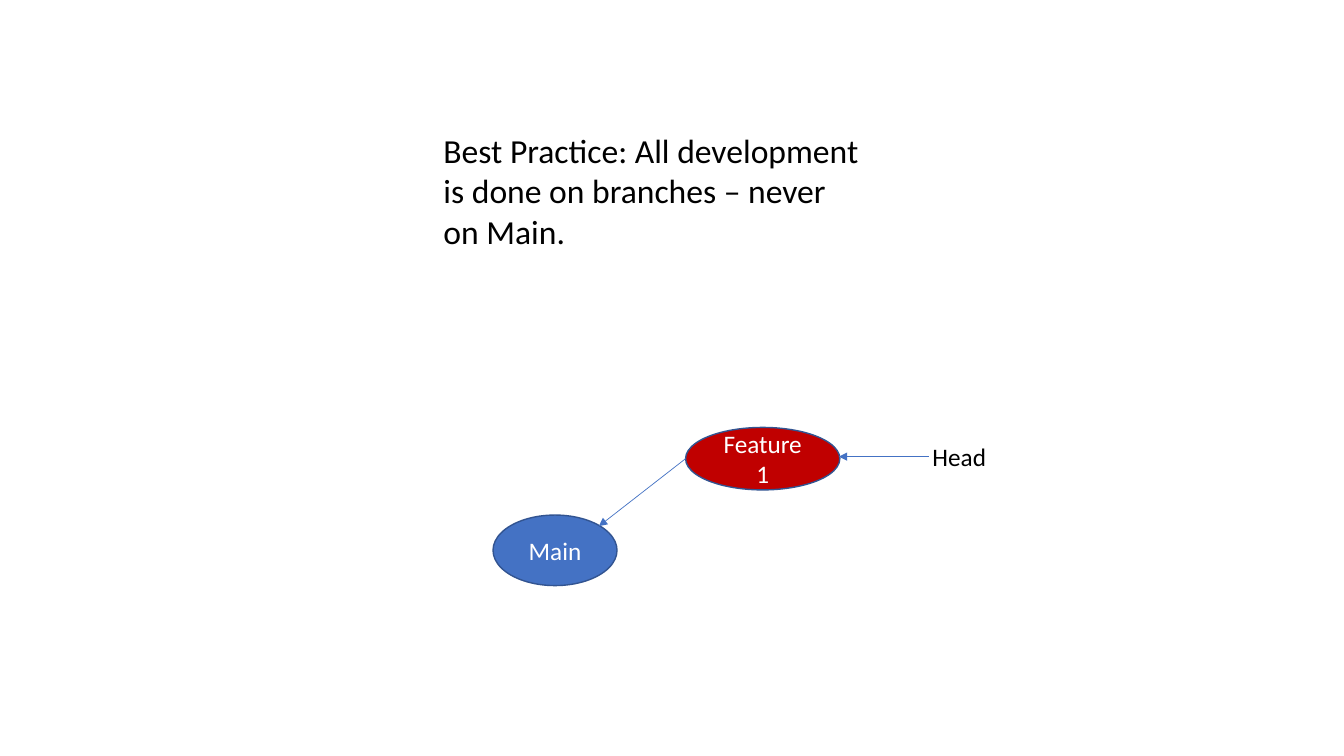
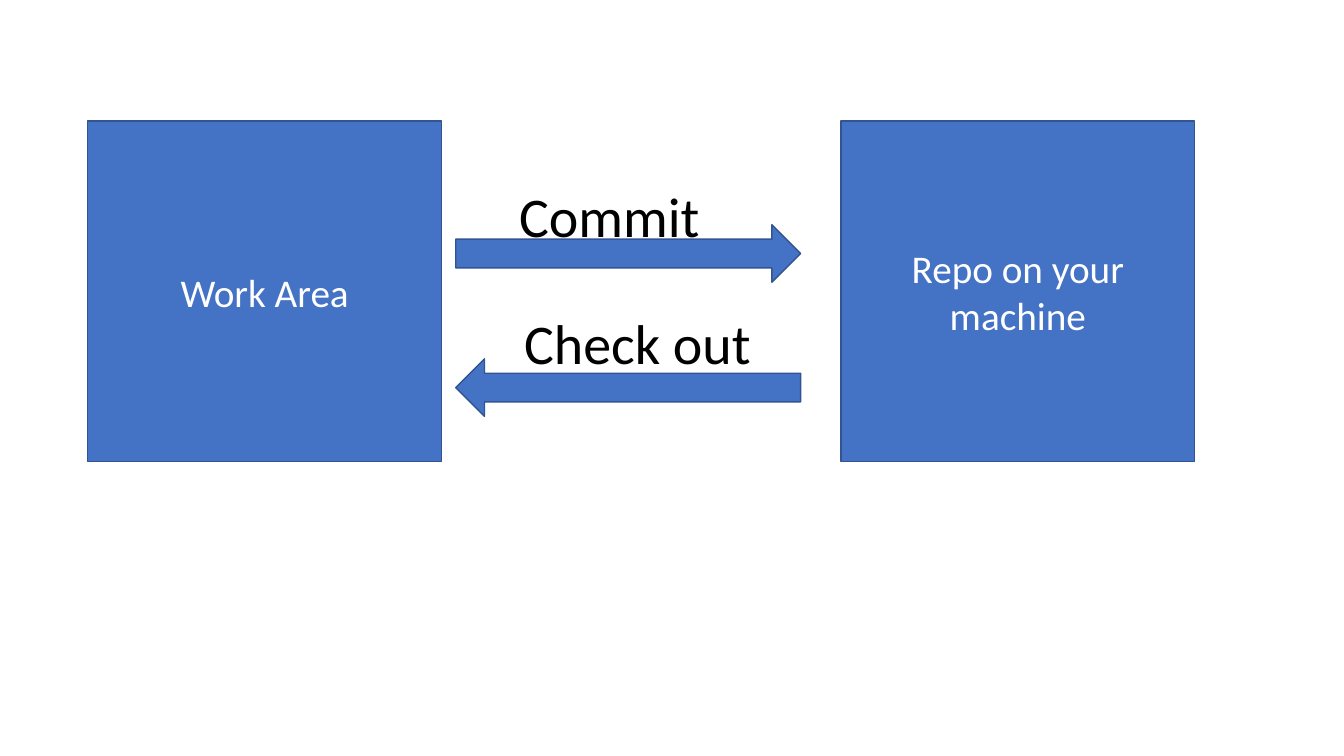
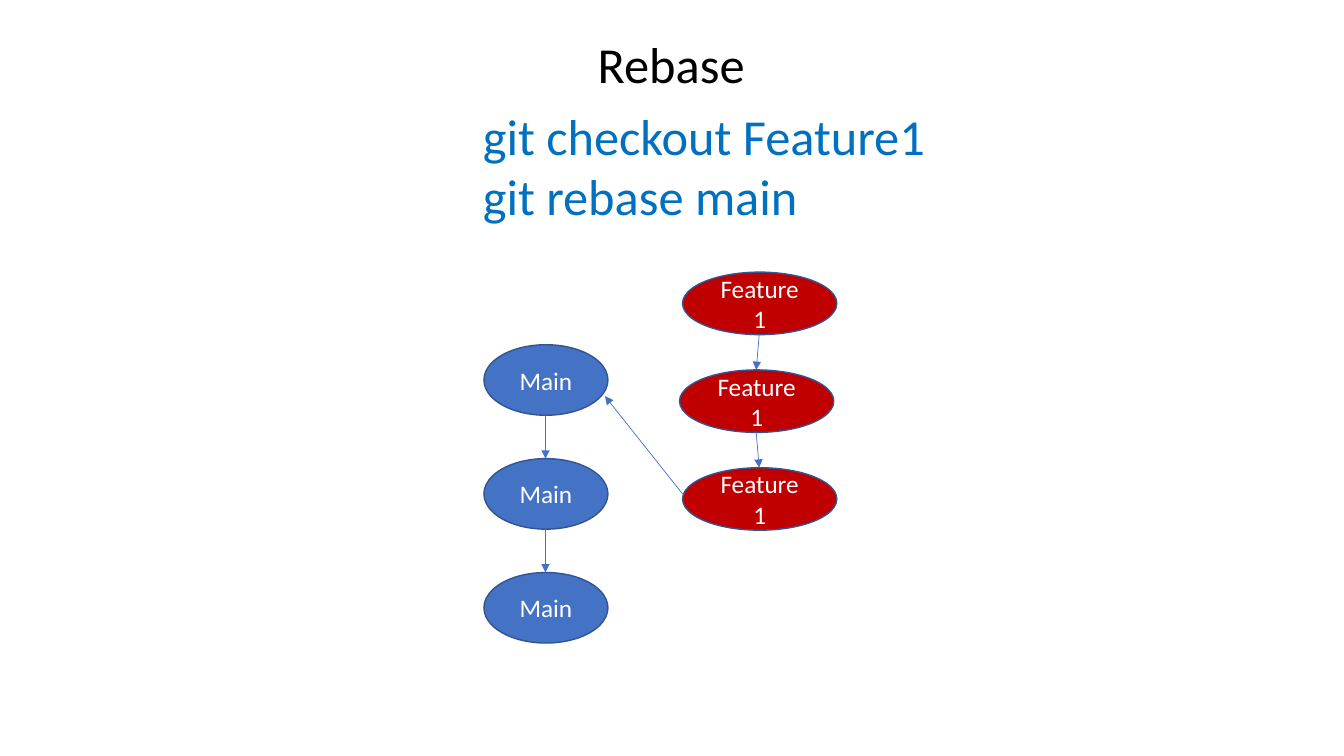
from itertools import pairwise

from lxml.etree import SubElement
from pptx import Presentation
from pptx.dml.color import RGBColor
from pptx.enum.shapes import MSO_CONNECTOR as Connector, MSO_SHAPE as Shape
from pptx.enum.text import MSO_ANCHOR as Anchor, PP_ALIGN as Align
from pptx.oxml.ns import qn
from pptx.util import Pt

# Shared style: 100 px to the inch
PX = 9144
SLIDE_SIZE = (1333, 750)
FONT = "Calibri"
BLUE = RGBColor(0x44, 0x72, 0xC4)
OUTLINE = RGBColor(0x32, 0x54, 0x91)
RED = RGBColor(0xC0, 0x00, 0x00)
COMMAND = RGBColor(0x00, 0x70, 0xC0)
WHITE = RGBColor(0xFF, 0xFF, 0xFF)
BLACK = RGBColor(0x00, 0x00, 0x00)

# Commit bubbles: label, width, height, fill
MAIN = ("Main", 123, 70, BLUE)
FEATURE = ("Feature 1", 153, 62, RED)


def emu(*lengths):
    return [length * PX for length in lengths]


def write(text_frame, text, size, color, align=Align.LEFT):
    text_frame.text = text
    for paragraph in text_frame.paragraphs:
        paragraph.alignment = align
        for run in paragraph.runs:
            run.font.name = FONT
            run.font.size = Pt(size)
            run.font.color.rgb = color


def add_text(slide, box, text, size, color=BLACK, wrap=True):
    text_frame = slide.shapes.add_textbox(*emu(*box)).text_frame
    text_frame.word_wrap = wrap
    write(text_frame, text, size, color)


def add_block(slide, kind, box, fill=BLUE, text="", size=18):
    shape = slide.shapes.add_shape(kind, *emu(*box))
    shape.shadow.inherit = False
    shape.fill.solid()
    shape.fill.fore_color.rgb = fill
    shape.line.color.rgb = OUTLINE
    shape.line.width = Pt(1)
    if text:
        shape.text_frame.vertical_anchor = Anchor.MIDDLE
        write(shape.text_frame, text, size, WHITE, Align.CENTER)
    return shape


def add_arrow(slide, start, end):
    connector = slide.shapes.add_connector(Connector.STRAIGHT, *emu(*start, *end))
    connector.line.color.rgb = BLUE
    connector.line.width = Pt(0.5)
    SubElement(connector.line._get_or_add_ln(), qn("a:tailEnd"), type="triangle")
    SubElement(connector._element.spPr, qn("a:effectLst"))


def add_commit(slide, branch, left, top):
    label, width, height, fill = branch
    add_block(slide, Shape.OVAL, (left, top, width, height), fill, label)


def add_history(slide, branch, lefts, top, pitch):
    """A column of commits, each pointing to the one below."""
    _, width, height, _ = branch
    places = [(left, top + pitch * row) for row, left in enumerate(lefts)]
    for place in places:
        add_commit(slide, branch, *place)
    for (left, upper), (next_left, lower) in pairwise(places):
        add_arrow(slide, (left + width // 2, upper + height),
                  (next_left + width // 2, lower))


def build_best_practice(slide):
    add_commit(slide, MAIN, 489, 511)
    add_commit(slide, FEATURE, 680, 424)
    add_arrow(slide, (680, 455), (594, 522))
    add_arrow(slide, (921, 453), (832, 453))
    add_text(slide, (915, 433, 101, 40), "Head", 18)
    add_text(slide, (430, 124, 433, 131),
             "Best Practice: All development is done on branches – never on Main.", 24)


def build_work_area(slide):
    for left, label in ((87, "Work Area"), (834, "Repo on your machine")):
        add_block(slide, Shape.RECTANGLE, (left, 120, 351, 338), text=label, size=28)

    # Transfers: label, label position, arrow top, rotation
    for label, left, top, arrow_top, rotation in (
        ("Check out", 510, 301, 356, 180),
        ("Commit", 505, 175, 223, 0),
    ):
        arrow = add_block(slide, Shape.RIGHT_ARROW, (452, arrow_top, 342, 57))
        arrow.rotation = rotation
        add_text(slide, (left, top, 304, 77), label, 40)


def build_rebase(slide):
    add_history(slide, MAIN, (480, 480, 480), 342, 113)
    add_history(slide, FEATURE, (677, 674, 677), 270, 97)
    add_arrow(slide, (677, 490), (600, 393))
    add_text(slide, (583, 28, 167, 71), "Rebase", 36, wrap=False)
    add_text(slide, (469, 99, 548, 131),
             "git checkout Feature1\ngit rebase main", 36, COMMAND)


def main():
    presentation = Presentation()
    presentation.slide_width, presentation.slide_height = emu(*SLIDE_SIZE)
    blank = presentation.slide_layouts[6]
    for build in (build_best_practice, build_work_area, build_rebase):
        build(presentation.slides.add_slide(blank))
    presentation.save("out.pptx")


if __name__ == "__main__":
    main()
